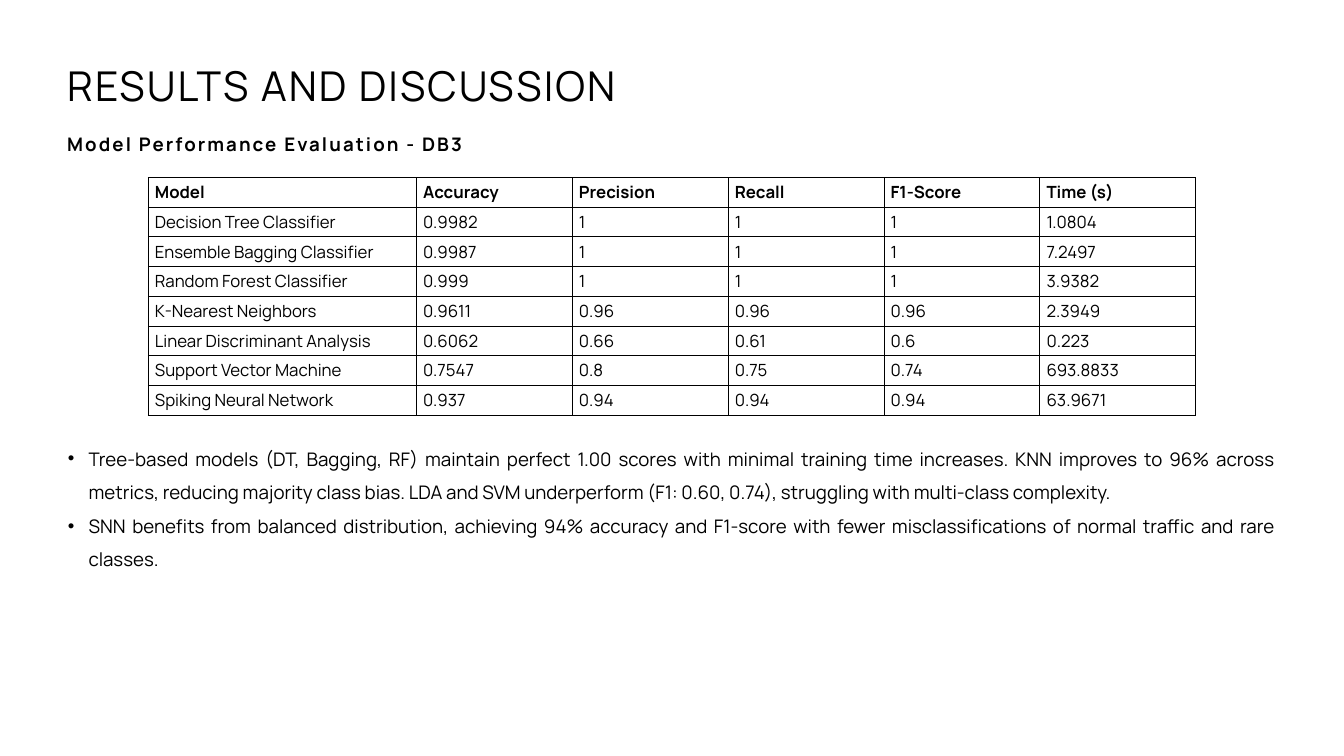
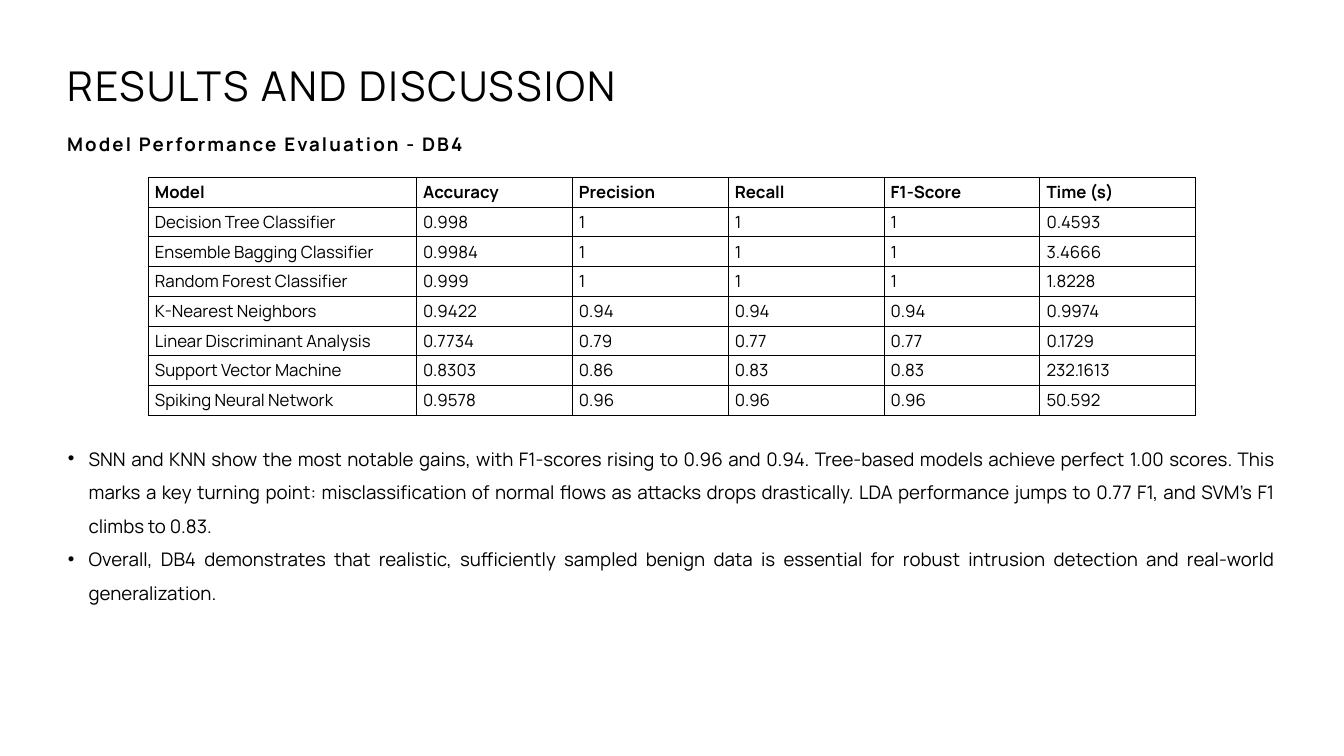
import pptx
import pptx.util
import pptx.dml.color
import pptx.enum.text
import pptx.oxml
import pptx.oxml.ns
from lxml import etree

Inches, Pt = pptx.util.Inches, pptx.util.Pt
ALIGN = pptx.enum.text.PP_ALIGN
BLACK = pptx.dml.color.RGBColor(0, 0, 0)
FONT = "Manrope"

TITLE = "RESULTS AND DISCUSSION"
HEAD = ["Model", "Accuracy", "Precision", "Recall", "F1-Score", "Time (s)"]
MODELS = [
    "Decision Tree Classifier",
    "Ensemble Bagging Classifier",
    "Random Forest Classifier",
    "K-Nearest Neighbors",
    "Linear Discriminant Analysis",
    "Support Vector Machine",
    "Spiking Neural Network",
]
SLIDES = [
    {
        "name": "DB3",
        "scores": [
            ("0.9982", "1", "1", "1", "1.0804"),
            ("0.9987", "1", "1", "1", "7.2497"),
            ("0.999", "1", "1", "1", "3.9382"),
            ("0.9611", "0.96", "0.96", "0.96", "2.3949"),
            ("0.6062", "0.66", "0.61", "0.6", "0.223"),
            ("0.7547", "0.8", "0.75", "0.74", "693.8833"),
            ("0.937", "0.94", "0.94", "0.94", "63.9671"),
        ],
        "points": [
            "Tree-based models (DT, Bagging, RF) maintain perfect 1.00 scores with minimal "
            "training time increases. KNN improves to 96% across metrics, reducing majority "
            "class bias. LDA and SVM underperform (F1: 0.60, 0.74), struggling with "
            "multi-class complexity.",
            "SNN benefits from balanced distribution, achieving 94% accuracy and F1-score "
            "with fewer misclassifications of normal traffic and rare classes.",
        ],
        "height": 1.97,
    },
    {
        "name": "DB4",
        "scores": [
            ("0.998", "1", "1", "1", "0.4593"),
            ("0.9984", "1", "1", "1", "3.4666"),
            ("0.999", "1", "1", "1", "1.8228"),
            ("0.9422", "0.94", "0.94", "0.94", "0.9974"),
            ("0.7734", "0.79", "0.77", "0.77", "0.1729"),
            ("0.8303", "0.86", "0.83", "0.83", "232.1613"),
            ("0.9578", "0.96", "0.96", "0.96", "50.592"),
        ],
        "points": [
            "SNN and KNN show the most notable gains, with F1-scores rising to 0.96 and 0.94. "
            "Tree-based models achieve perfect 1.00 scores. This marks a key turning point: "
            "misclassification of normal flows as attacks drops drastically. LDA performance "
            "jumps to 0.77 F1, and SVM’s F1 climbs to 0.83.",
            "Overall, DB4 demonstrates that realistic, sufficiently sampled benign data is "
            "essential for robust intrusion detection and real-world generalization.",
        ],
        "height": 2.48,
    },
]

WIDTH, HEIGHT = 20, 11.25
MARGIN = WIDTH / 20
FIRST, OTHER, ROW = 3.99, 2.32, 0.44
HANG = 0.31


def style(para, size, bold=False, space=0):
    """Format the runs of a paragraph; space is the letter spacing in points."""
    for run in para.runs:
        font = run.font
        font.name, font.size, font.bold = FONT, Pt(size), bold
        font.color.rgb = BLACK
        if space:
            run._r.get_or_add_rPr().set("spc", str(round(space * 100)))


def place(shape, left, top, width, height):
    """Move a text shape and give its frame no margins."""
    shape.left, shape.top = Inches(left), Inches(top)
    shape.width, shape.height = Inches(width), Inches(height)
    frame = shape.text_frame
    frame.margin_left = frame.margin_right = 0
    frame.margin_top = frame.margin_bottom = 0
    frame.word_wrap = True
    frame.auto_size = pptx.enum.text.MSO_AUTO_SIZE.NONE
    frame.vertical_anchor = pptx.enum.text.MSO_ANCHOR.TOP
    return frame


def add_heads(slide, name):
    frame = place(slide.shapes.title, MARGIN, 0.77, 9.51, 0.82)
    frame.text = TITLE
    para = frame.paragraphs[0]
    para.alignment, para.line_spacing = ALIGN.LEFT, Pt(61.6)
    style(para, 44, space=2.2)

    box = slide.shapes.add_textbox(0, 0, 0, 0)
    frame = place(box, MARGIN, 1.97, 7.37, 0.34)
    frame.text = f"Model Performance Evaluation - {name}"
    style(frame.paragraphs[0], 20, True, 2.2)


def add_edges(cell):
    props = cell._tc.get_or_add_tcPr()
    for side in "LRTB":
        props.append(pptx.oxml.parse_xml(
            f'<a:ln{side} {pptx.oxml.ns.nsdecls("a")} w="{Pt(1)}"><a:solidFill>'
            f'<a:srgbClr val="{BLACK}"/></a:solidFill></a:ln{side}>'))


def add_scores(slide, scores):
    rows = [HEAD] + [(model, *vals) for model, vals in zip(MODELS, scores)]
    widths = [FIRST] + [OTHER] * (len(HEAD) - 1)
    total = sum(widths)
    table = slide.shapes.add_table(
        len(rows), len(HEAD), Inches((WIDTH - total) / 2), Inches(2.64),
        Inches(total), Inches(ROW * len(rows))).table
    table.first_row = table.horz_banding = False
    for col, width in zip(table.columns, widths):
        col.width = Inches(width)
    for r, row in enumerate(rows):
        table.rows[r].height = Inches(ROW)
        for c, text in enumerate(row):
            cell = table.cell(r, c)
            cell.text = text
            style(cell.text_frame.paragraphs[0], 18, bold=r == 0)
            add_edges(cell)
            cell.fill.background()


def add_points(slide, points, height):
    frame = place(slide.placeholders[1], MARGIN + 0.01, 6.49, 17.97, height)
    frame.text = "\n".join(points)
    for para in frame.paragraphs:
        props = para._p.get_or_add_pPr()
        props.set("marL", str(Inches(HANG)))
        props.set("indent", str(-Inches(HANG)))
        etree.SubElement(props, pptx.oxml.ns.qn("a:buFont")).set("typeface", "Arial")
        etree.SubElement(props, pptx.oxml.ns.qn("a:buChar")).set("char", "•")
        para.alignment, para.line_spacing = ALIGN.JUSTIFY, 1.5
        para.space_before = Pt(0)
        style(para, 20)


def main():
    deck = pptx.Presentation()
    deck.slide_width, deck.slide_height = Inches(WIDTH), Inches(HEIGHT)
    for data in SLIDES:
        slide = deck.slides.add_slide(deck.slide_layouts[1])
        add_heads(slide, data["name"])
        add_scores(slide, data["scores"])
        add_points(slide, data["points"], data["height"])
    deck.save("out.pptx")


if __name__ == "__main__":
    main()
